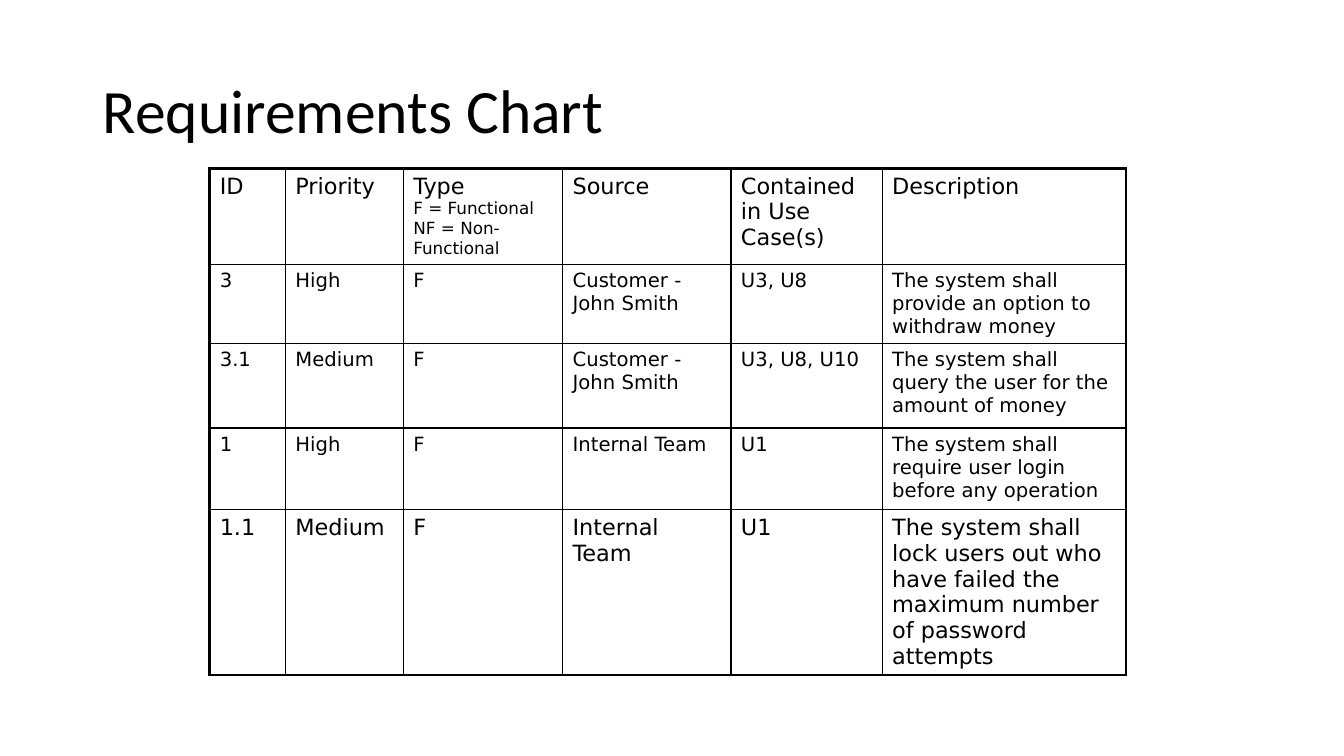
import copy

import lxml.etree
import pptx
import pptx.dml.color
import pptx.enum.text
import pptx.oxml.ns
import pptx.util

Inches = pptx.util.Inches
Pt = pptx.util.Pt
qn = pptx.oxml.ns.qn

BLACK = pptx.dml.color.RGBColor(0x00, 0x00, 0x00)
TITLE = "Requirements Chart"
TITLE_FONT = "Calibri"
TABLE_FONT = "DejaVu Sans"

HEADER = ["ID", "Priority", "Type", "Source", "Contained in Use Case(s)", "Description"]
TYPE_NOTES = ["F = Functional", "NF = Non-Functional"]
REQUIREMENTS = [
    ["3", "High", "F", "Customer - John Smith", "U3, U8",
     "The system shall provide an option to withdraw money"],
    ["3.1", "Medium", "F", "Customer - John Smith", "U3, U8, U10",
     "The system shall query the user for the amount of money"],
    ["1", "High", "F", "Internal Team", "U1",
     "The system shall require user login before any operation"],
    ["1.1", "Medium", "F", "Internal Team", "U1",
     "The system shall lock users out who have failed the maximum number of password attempts"],
]
ROWS = [HEADER] + REQUIREMENTS
ROW_SIZES = [16, 14, 14, 14, 16]
NOTE_SIZE = 12
ROW_HEIGHTS = [0.95, 0.78, 0.84, 0.81, 1.64]
COLUMN_WIDTHS = [0.75, 1.17, 1.58, 1.67, 1.5, 2.42]
TABLE_LEFT, TABLE_TOP = 2.08, 1.67
OUTER_LINE, INNER_LINE = 2.25, 1


def set_attributes(target, values):
    """Set every attribute named in a dict of format values."""
    for name, value in values.items():
        setattr(target, name, value)


def format_font(font, name, size):
    """Give a font its typeface, size and the black text colour."""
    set_attributes(font, {"name": name, "size": Pt(size), "bold": False})
    font.color.rgb = BLACK


def write_lines(paragraph, lines):
    """Write (text, size) lines into one paragraph, parted by line breaks."""
    for index, (text, size) in enumerate(lines):
        if index:
            paragraph.add_line_break()
            line_break = paragraph._p.findall(qn("a:br"))[-1]
            line_break.append(copy.deepcopy(run._r.rPr))
        run = paragraph.add_run()
        run.text = text
        format_font(run.font, TABLE_FONT, size)


def add_borders(cell, widths):
    """Draw solid black cell borders from a dict of side to points."""
    properties = cell._tc.get_or_add_tcPr()
    for position, (side, width) in enumerate(widths.items()):
        line = lxml.etree.Element(qn(f"a:ln{side}"), w=str(Pt(width)))
        fill = lxml.etree.SubElement(line, qn("a:solidFill"))
        lxml.etree.SubElement(fill, qn("a:srgbClr"), val=str(BLACK))
        properties.insert(position, line)


def add_title(slide):
    """Place and format the title placeholder."""
    title = slide.shapes.title
    set_attributes(title, {"left": Inches(0.92), "top": Inches(0.4),
                           "width": Inches(11.5), "height": Inches(1.45)})
    title.text_frame.text = TITLE
    title.text_frame.vertical_anchor = pptx.enum.text.MSO_ANCHOR.MIDDLE
    paragraph = title.text_frame.paragraphs[0]
    set_attributes(paragraph, {"alignment": pptx.enum.text.PP_ALIGN.LEFT,
                               "line_spacing": 0.9})
    format_font(paragraph.runs[0].font, TITLE_FONT, 44)


def add_requirements_table(slide):
    """Add the requirements grid with a heavier outer frame."""
    table = slide.shapes.add_table(
        len(ROWS), len(HEADER), Inches(TABLE_LEFT), Inches(TABLE_TOP),
        Inches(sum(COLUMN_WIDTHS)), Inches(sum(ROW_HEIGHTS))).table
    set_attributes(table, {"first_row": False, "horz_banding": False})
    for column, width in zip(table.columns, COLUMN_WIDTHS):
        column.width = Inches(width)
    for row, height in zip(table.rows, ROW_HEIGHTS):
        row.height = Inches(height)

    last_row, last_column = len(ROWS) - 1, len(HEADER) - 1
    for row_index, (texts, size) in enumerate(zip(ROWS, ROW_SIZES)):
        for column_index, text in enumerate(texts):
            cell = table.cell(row_index, column_index)
            lines = [(text, size)]
            if text == "Type":
                lines += [(note, NOTE_SIZE) for note in TYPE_NOTES]
            write_lines(cell.text_frame.paragraphs[0], lines)
            cell.fill.background()
            on_frame = {"L": column_index == 0, "R": column_index == last_column,
                        "T": row_index == 0, "B": row_index == last_row}
            add_borders(cell, {side: OUTER_LINE if outer else INNER_LINE
                               for side, outer in on_frame.items()})


presentation = pptx.Presentation()
set_attributes(presentation, {"slide_width": Inches(13.33), "slide_height": Inches(7.5)})
title_only_layout = presentation.slide_layouts[5]
slide = presentation.slides.add_slide(title_only_layout)
add_title(slide)
add_requirements_table(slide)
presentation.save("out.pptx")
